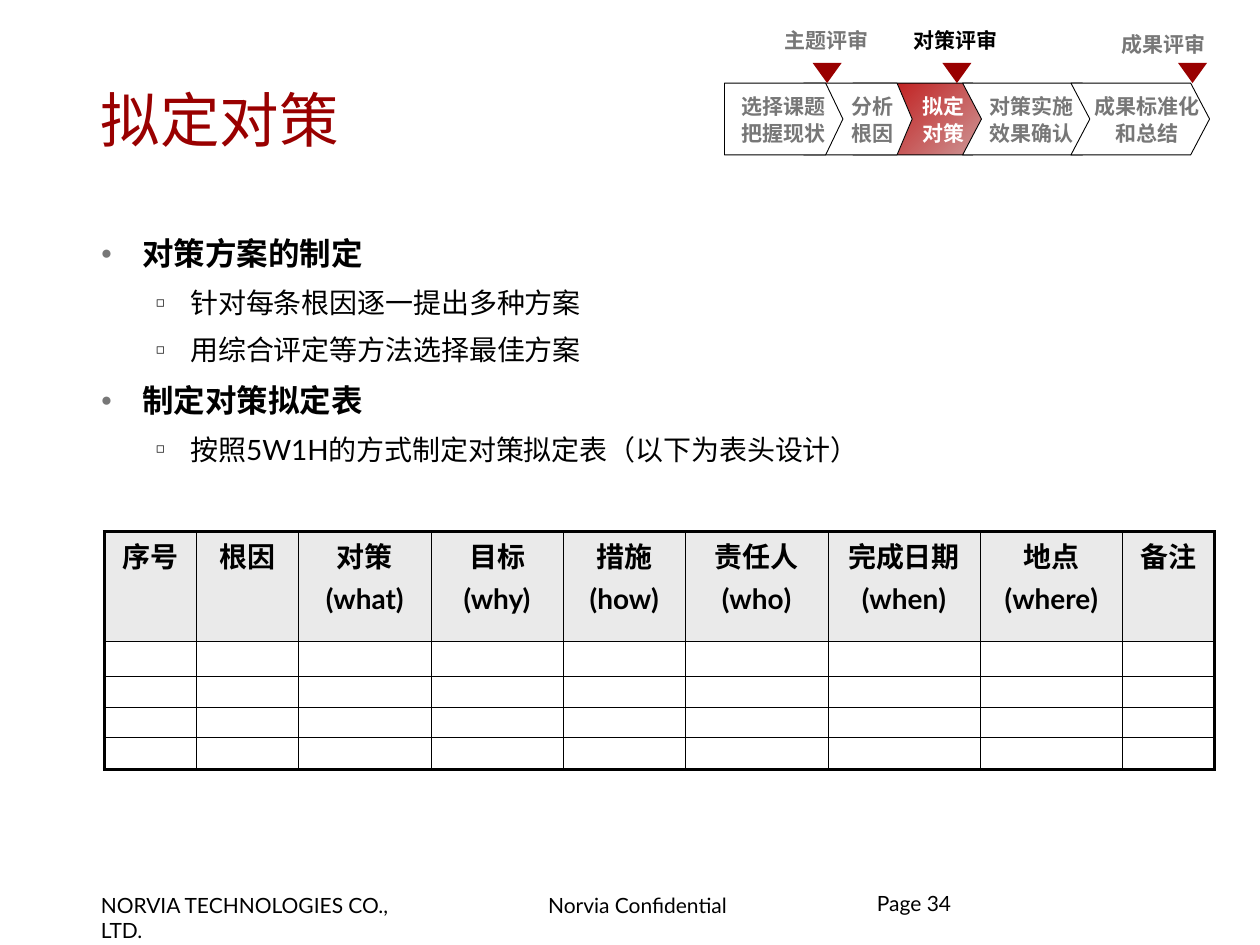
from dataclasses import dataclass

from lxml.etree import SubElement
from pptx import Presentation
from pptx.dml.color import RGBColor
from pptx.enum.shapes import MSO_SHAPE as Preset
from pptx.enum.text import MSO_ANCHOR as Anchor, MSO_AUTO_SIZE as AutoSize, PP_ALIGN as Align
from pptx.oxml.ns import qn
from pptx.util import Inches, Pt


@dataclass(frozen=True)
class Theme:
    """Colours, fonts and type sizes of the slide."""
    red: str = "990000"
    black: str = "000000"
    gray: str = "777777"
    white: str = "FFFFFF"
    header: str = "EAEAEA"
    gradient: tuple = ("BE0202", "CE9E9E")
    font: str = "Lato"
    step_font: str = "Arial"
    review_font: str = "Noto Sans CJK SC"
    title: int = 34
    topic: int = 18
    detail: int = 16
    small: int = 12
    empty_cell: int = 10
    thin: float = 0.25
    outline: float = 0.5
    thick: float = 2.25


THEME = Theme()
STEP_TOP, STEP_HEIGHT = 0.66, 0.57
CHEVRONS = [
    (6.77, 1.1, 0.15, THEME.gradient),
    (6.38, 0.86, 0.12, THEME.white),
    (7.64, 1.1, 0.15, THEME.white),
    (8.5, 1.1, 0.15, THEME.white),
]
STEPS = [
    (5.82, 0.79, "选择课题\n把握现状", THEME.gray),
    (6.65, 0.55, "分析根因", THEME.gray),
    (7.21, 0.55, "拟定对策", THEME.white),
    (7.79, 0.79, "对策实施\n效果确认", THEME.gray),
    (8.63, 0.95, "成果标准化\n和总结", THEME.gray),
]
REVIEWS = [
    (6.14, 0.18, 6.45, "主题评审", THEME.gray),
    (7.16, 0.18, 7.48, "对策评审", THEME.black),
    (8.81, 0.21, 9.35, "成果评审", THEME.gray),
]
OUTLINE = [
    (0, "对策方案的制定"),
    (1, "针对每条根因逐一提出多种方案"),
    (1, "用综合评定等方法选择最佳方案"),
    (0, "制定对策拟定表"),
    (1, "按照5W1H的方式制定对策拟定表（以下为表头设计）"),
]
COLUMNS = [
    ("序号", 0.73), ("根因", 0.81), ("对策(what)", 1.05), ("目标\n(why)", 1.05),
    ("措施(how)", 0.97), ("责任人(who)", 1.13), ("完成日期(when)", 1.21),
    ("地点(where)", 1.13), ("备注", 0.73),
]
ROW_HEIGHTS = [0.87, 0.28, 0.24, 0.24, 0.26]


def rgb(value):
    """Turn a hex string into a colour."""
    return RGBColor.from_string(value)


def write(para, text, size=THEME.small, color=THEME.black, font=THEME.font,
          bold=False, align=Align.LEFT, spacing=1.0):
    """Write formatted text into a paragraph."""
    para.alignment, para.line_spacing, para.space_before = align, spacing, Pt(0)
    span = para.add_run()
    span.text = text
    span.font.size, span.font.bold, span.font.name = Pt(size), bold, font
    span.font.color.rgb = rgb(color)
    SubElement(span.font._element, qn("a:ea"), typeface=font)


def write_lines(frame, text, **style):
    """Write each line of the text as a paragraph of the frame."""
    for index, line in enumerate(text.split("\n")):
        para = frame.add_paragraph() if index else frame.paragraphs[0]
        write(para, line, **style)


def set_frame(frame, inset_x=0.09, inset_y=0.04, anchor=Anchor.TOP):
    """Set wrapping, insets and anchor of a text frame."""
    frame.word_wrap, frame.auto_size = True, AutoSize.NONE
    frame.vertical_anchor = anchor
    frame.margin_left = frame.margin_right = Inches(inset_x)
    frame.margin_top = frame.margin_bottom = Inches(inset_y)


def place(shape, *bounds):
    """Move and size a shape in inches."""
    shape.left, shape.top, shape.width, shape.height = map(Inches, bounds)


def add_text(shapes, bounds, text, inset=(0.09, 0.04), anchor=Anchor.TOP, **style):
    """Add a text box."""
    box = shapes.add_textbox(*map(Inches, bounds))
    set_frame(box.text_frame, *inset, anchor=anchor)
    write_lines(box.text_frame, text, **style)


def paint(shape, fill, line=None):
    """Give a shape a solid or gradient fill and an optional outline."""
    shape.shadow.inherit = False
    if isinstance(fill, tuple):
        shape.fill.gradient()
        shape.fill.gradient_angle = 315
        for stop, color in zip(shape.fill.gradient_stops, fill):
            stop.color.rgb = rgb(color)
    else:
        shape.fill.solid()
        shape.fill.fore_color.rgb = rgb(fill)
    if line:
        shape.line.color.rgb = rgb(line)
        shape.line.width = Pt(THEME.outline)
    else:
        shape.line.fill.background()


def add_chevron(shapes, left, width, point, fill):
    """Add one arrow-shaped process step."""
    right, middle, bottom = left + width, STEP_TOP + STEP_HEIGHT / 2, STEP_TOP + STEP_HEIGHT
    corners = [(left, STEP_TOP), (right - point, STEP_TOP), (right, middle),
               (right - point, bottom), (left, bottom), (left + point, middle)]
    start, *others = [(Inches(x), Inches(y)) for x, y in corners]
    builder = shapes.build_freeform(*start)
    builder.add_line_segments(others, close=True)
    paint(builder.convert_to_shape(), fill, THEME.black)


def add_process(page):
    """Add the process bar with its review markers."""
    shapes = page.shapes.add_group_shape().shapes
    for chevron in CHEVRONS:
        add_chevron(shapes, *chevron)
    first = shapes.add_shape(Preset.PENTAGON, *map(Inches, (5.75, STEP_TOP, 0.94, STEP_HEIGHT)))
    first.adjustments[0] = 0.24
    paint(first, THEME.white, THEME.black)
    for left, width, text, color in STEPS:
        add_text(shapes, (left, 0.67, width, 0.54), text, inset=(0.05, 0.05),
                 anchor=Anchor.MIDDLE, color=color, font=THEME.step_font,
                 bold=True, align=Align.CENTER, spacing=1.1)
    for left, top, marker_left, text, color in REVIEWS:
        add_text(shapes, (left, top, 0.87, 0.29), text, color=color,
                 font=THEME.review_font, bold=True)
        marker = shapes.add_shape(Preset.FLOWCHART_MERGE,
                                  *map(Inches, (marker_left, 0.5, 0.23, 0.16)))
        paint(marker, THEME.red)


def add_bullet(para, mark, color, percent, indent, hang):
    """Give a paragraph a bullet and a hanging indent."""
    props = para._p.get_or_add_pPr()
    props.set("marL", str(Inches(indent)))
    props.set("indent", str(-Inches(hang)))
    SubElement(SubElement(props, qn("a:buClr")), qn("a:srgbClr"), val=color)
    SubElement(props, qn("a:buSzPct"), val=str(percent * 1000))
    SubElement(props, qn("a:buChar"), char=mark)


def fill_outline(body):
    """Fill the body placeholder with the two-level list."""
    place(body, 0.71, 1.7, 8.67, 2.2)
    frame = body.text_frame
    set_frame(frame)
    bullets = [("●", THEME.gray, 60, 0.33, 0.33), ("◻", THEME.black, 50, 0.71, 0.27)]
    for index, (level, text) in enumerate(OUTLINE):
        para = frame.add_paragraph() if index else frame.paragraphs[0]
        para.level = level
        add_bullet(para, *bullets[level])
        write(para, text, size=(THEME.topic, THEME.detail)[level], bold=level == 0, spacing=1.4)


def set_borders(cell, outer):
    """Draw cell borders, thick on the sides that are outer."""
    props = cell._tc.get_or_add_tcPr()
    for side, is_outer in zip("LRTB", outer):
        width = Pt(THEME.thick if is_outer else THEME.thin)
        line = SubElement(props, qn(f"a:ln{side}"), w=str(width))
        SubElement(SubElement(line, qn("a:solidFill")), qn("a:srgbClr"), val=THEME.black)


def add_plan_table(page):
    """Add the empty action plan table with its header."""
    last_row, last_column = len(ROW_HEIGHTS) - 1, len(COLUMNS) - 1
    bounds = map(Inches, (0.83, 4.22, sum(width for _, width in COLUMNS), sum(ROW_HEIGHTS)))
    table = page.shapes.add_table(last_row + 1, last_column + 1, *bounds).table
    table.first_row = table.horz_banding = False
    for r, height in enumerate(ROW_HEIGHTS):
        table.rows[r].height = Inches(height)
        for c, (heading, width) in enumerate(COLUMNS):
            table.columns[c].width = Inches(width)
            cell = table.cell(r, c)
            cell.margin_left = cell.margin_right = cell.margin_top = cell.margin_bottom = 0
            set_borders(cell, (c == 0, c == last_column, r == 0, r == last_row))
            if r == 0:
                cell.fill.solid()
                cell.fill.fore_color.rgb = rgb(THEME.header)
                write_lines(cell.text_frame, heading, size=THEME.detail, bold=True,
                            align=Align.CENTER, spacing=1.25)
            else:
                cell.fill.background()
                end = SubElement(cell.text_frame.paragraphs[0]._p, qn("a:endParaRPr"))
                end.set("sz", str(THEME.empty_cell * 100))


def main():
    """Build and save the slide."""
    deck = Presentation()
    deck.slide_width, deck.slide_height = Inches(10), Inches(7.5)
    page = deck.slides.add_slide(deck.slide_layouts[1])
    title, body = page.placeholders
    place(title, 0.71, 0.47, 4.92, 0.95)
    set_frame(title.text_frame, anchor=Anchor.MIDDLE)
    write_lines(title.text_frame, "拟定对策", size=THEME.title, color=THEME.red)
    fill_outline(body)
    add_process(page)
    add_plan_table(page)
    add_text(page.shapes, (0.71, 7.04, 2.8, 0.29), "NORVIA TECHNOLOGIES CO., LTD.")
    add_text(page.shapes, (4.26, 7.04, 1.78, 0.29), "Norvia Confidential")
    add_text(page.shapes, (6.96, 7.1, 2.29, 0.3), "Page 34", inset=(0, 0), spacing=0.85)
    deck.save("out.pptx")


if __name__ == "__main__":
    main()
